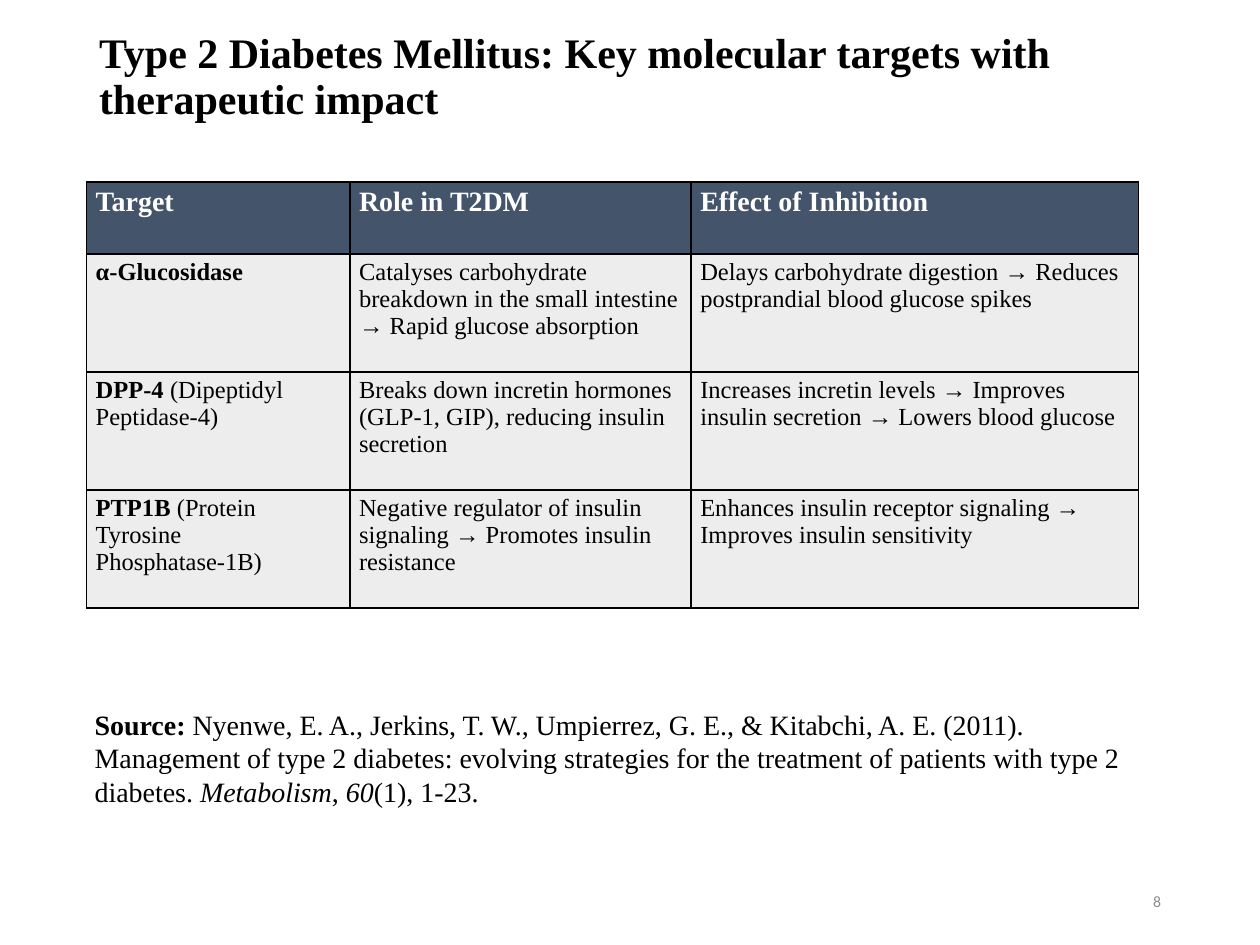
"""Build a slide with a table of type 2 diabetes drug targets and its source."""
from lxml import etree
from pptx import Presentation
from pptx.dml.color import RGBColor
from pptx.enum import text
from pptx.oxml import ns
from pptx.util import Pt

BLACK = RGBColor(0x00, 0x00, 0x00)
WHITE = RGBColor(0xFF, 0xFF, 0xFF)
SLATE = RGBColor(0x44, 0x54, 0x6A)
PALE = RGBColor(0xED, 0xED, 0xED)
GRAY = RGBColor(0x8C, 0x8C, 0x8C)
SERIF = "Times New Roman"

TITLE = [("Type 2 Diabetes Mellitus: Key molecular targets with therapeutic impact", "b")]
HEADER = ["Target", "Role in T2DM", "Effect of Inhibition"]
TARGETS = [
    ("α-Glucosidase", "",
     "Catalyses carbohydrate breakdown in the small intestine → Rapid glucose absorption",
     "Delays carbohydrate digestion → Reduces postprandial blood glucose spikes"),
    ("DPP-4", " (Dipeptidyl Peptidase-4)",
     "Breaks down incretin hormones (GLP-1, GIP), reducing insulin secretion",
     "Increases incretin levels → Improves insulin secretion → Lowers blood glucose"),
    ("PTP1B", " (Protein Tyrosine Phosphatase-1B)",
     "Negative regulator of insulin signaling → Promotes insulin resistance",
     "Enhances insulin receptor signaling → Improves insulin sensitivity"),
]
SOURCE = [
    ("Source: ", "b"),
    ("Nyenwe, E. A., Jerkins, T. W., Umpierrez, G. E., & Kitabchi, A. E. (2011). "
     "Management of type 2 diabetes: evolving strategies for the treatment of "
     "patients with type 2 diabetes. ", ""),
    ("Metabolism", "i"),
    (", ", ""),
    ("60", "i"),
    ("(1), 1-23.", ""),
]
PAGE_NUMBER = [("8", "")]
COLUMN_WIDTHS = [150.5, 195, 255.5]
ROW_HEIGHTS = [41.2] + [67.4] * len(TARGETS)


def write(para, spans, size, color=BLACK, font=SERIF):
    for words, style in spans:
        span = para.add_run()
        span.text = words
        span.font.name = font
        span.font.size = Pt(size)
        span.font.color.rgb = color
        span.font.bold = "b" in style
        span.font.italic = "i" in style


def add_text(page, place, spans, size, anchor=text.MSO_ANCHOR.TOP, **look):
    box = page.shapes.add_textbox(*map(Pt, place))
    box.text_frame.word_wrap = True
    box.text_frame.vertical_anchor = anchor
    para = box.text_frame.paragraphs[0]
    write(para, spans, size, **look)
    return para


def add_borders(cell):
    properties = cell._tc.get_or_add_tcPr()
    for side in ("a:lnL", "a:lnR", "a:lnT", "a:lnB"):
        line = etree.SubElement(properties, ns.qn(side), w=str(Pt(1)))
        fill = etree.SubElement(line, ns.qn("a:solidFill"))
        etree.SubElement(fill, ns.qn("a:srgbClr"), val=str(BLACK))


def add_target_table(page, left, top):
    rows = [[[(label, "b")] for label in HEADER]]
    for name, detail, role, effect in TARGETS:
        name_spans = [(name, "b")] + ([(detail, "")] if detail else [])
        rows.append([name_spans, [(role, "")], [(effect, "")]])
    table = page.shapes.add_table(
        len(rows), len(HEADER), Pt(left), Pt(top),
        Pt(sum(COLUMN_WIDTHS)), Pt(sum(ROW_HEIGHTS))).table
    for column, width in zip(table.columns, COLUMN_WIDTHS):
        column.width = Pt(width)
    for r, (row, height) in enumerate(zip(rows, ROW_HEIGHTS)):
        table.rows[r].height = Pt(height)
        fill, color, size = (PALE, BLACK, 14) if r else (SLATE, WHITE, 16)
        for c, spans in enumerate(row):
            cell = table.cell(r, c)
            cell.margin_left = cell.margin_right = Pt(5.2)
            cell.margin_top = cell.margin_bottom = Pt(2.6)
            add_borders(cell)
            cell.fill.solid()
            cell.fill.fore_color.rgb = fill
            write(cell.text_frame.paragraphs[0], spans, size, color)


def main():
    deck = Presentation()
    deck.slide_width, deck.slide_height = Pt(720), Pt(540)
    page = deck.slides.add_slide(deck.slide_layouts[6])
    middle = text.MSO_ANCHOR.MIDDLE
    title = add_text(page, (49.5, 15, 597, 59), TITLE, 24, middle)
    title.line_spacing = 0.9
    add_target_table(page, 49.5, 104)
    add_text(page, (47, 400.5, 601, 65.5), SOURCE, 16)
    number = add_text(page, (508.5, 500.5, 162, 28.8), PAGE_NUMBER, 9, middle,
                      color=GRAY, font="Calibri")
    number.alignment = text.PP_ALIGN.RIGHT
    deck.save("out.pptx")


if __name__ == "__main__":
    main()
